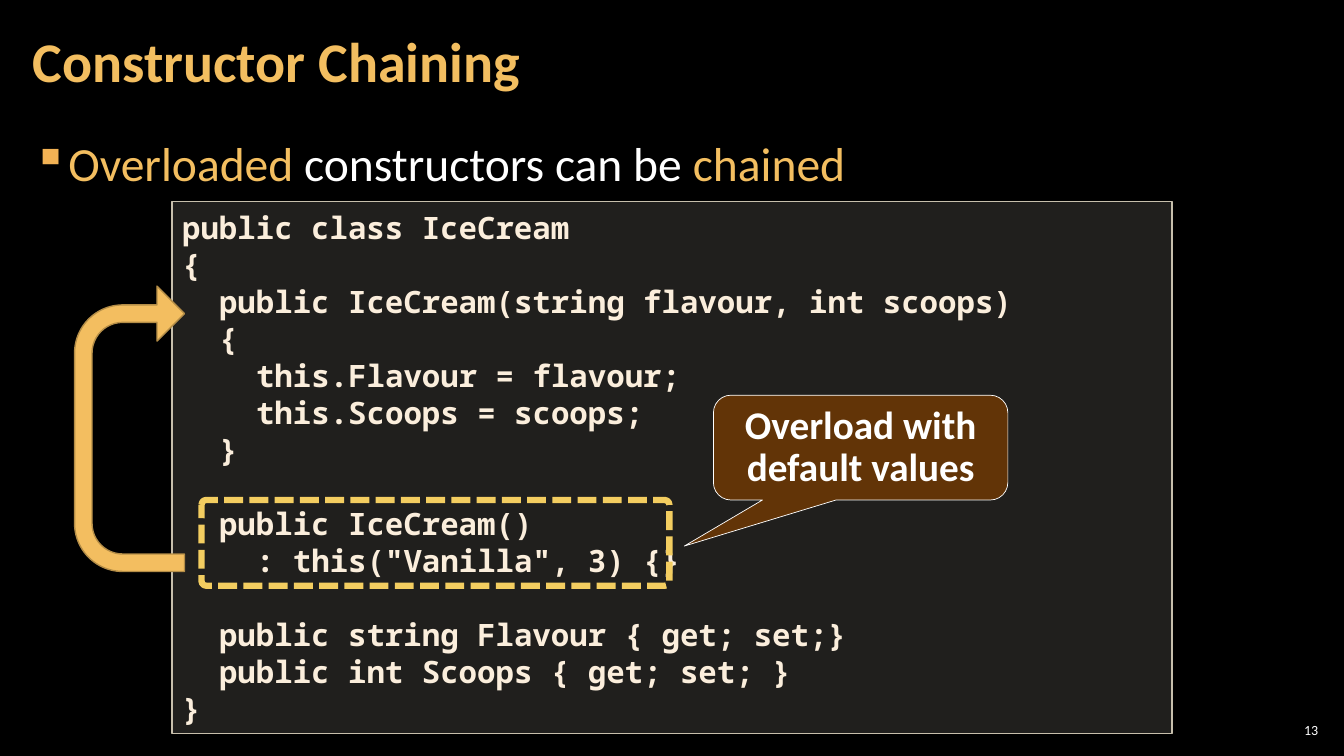
from lxml import etree
from pptx import Presentation
from pptx.dml.color import RGBColor
from pptx.enum import dml, shapes, text
from pptx.oxml import ns
from pptx.util import Cm, Pt

BLACK = RGBColor(0x00, 0x00, 0x00)
WHITE = RGBColor(0xFF, 0xFF, 0xFF)
GOLD = RGBColor(0xF3, 0xBE, 0x60)
BULLET_GOLD = RGBColor(0xF2, 0xB2, 0x54)
DASH_GOLD = RGBColor(0xF3, 0xCD, 0x60)
ARROW_EDGE = RGBColor(0xB4, 0x8D, 0x47)
PANEL = RGBColor(0xD9, 0xD5, 0xC7)
PANEL_EDGE = RGBColor(0xC7, 0xBF, 0xAC)
CODE_CREAM = RGBColor(0xFB, 0xEE, 0xDC)
BROWN = RGBColor(0x66, 0x36, 0x06)

BODY_FONT = "Calibri"
CODE_FONT = "Noto Sans Mono"
CODE_SIZE = 22
CODE_LINE = Pt(26.4)
CODE_INDENT = Pt(1.2 * CODE_SIZE)  # two characters of the monospaced font

# (indent level, blank lines above, code)
CODE = [
    (0, 0, "public class IceCream"),
    (0, 0, "{"),
    (1, 0, "public IceCream(string flavour, int scoops)"),
    (1, 0, "{"),
    (2, 0, "this.Flavour = flavour;"),
    (2, 0, "this.Scoops = scoops;"),
    (1, 0, "}"),
    (1, 1, "public IceCream()"),
    (2, 0, ': this("Vanilla", 3) {}'),
    (1, 1, "public string Flavour { get; set;}"),
    (1, 0, "public int Scoops { get; set; }"),
    (0, 0, "}"),
]


def style(run, size, color, bold=False, font=BODY_FONT):
    run.font.name = font
    run.font.size = Pt(size)
    run.font.bold = bold
    run.font.color.rgb = color


def set_alpha(shape, percent):
    color = shape.fill._xPr.find(ns.qn("a:solidFill"))[0]
    etree.SubElement(color, ns.qn("a:alpha"), val=str(percent * 1000))


def add_figure(slide, kind, box, edge, width, fill=None, adjust=()):
    figure = slide.shapes.add_shape(kind, *map(Cm, box))
    figure.shadow.inherit = False
    if fill is None:
        figure.fill.background()
    else:
        figure.fill.solid()
        figure.fill.fore_color.rgb = fill
    figure.line.color.rgb = edge
    figure.line.width = Pt(width)
    for i, value in enumerate(adjust):
        figure.adjustments[i] = value
    return figure


def add_label(slide, box, side_margin, anchor):
    frame = slide.shapes.add_textbox(*map(Cm, box)).text_frame
    frame.word_wrap = True
    frame.vertical_anchor = anchor
    frame.margin_left = frame.margin_right = Cm(side_margin)
    frame.margin_top = frame.margin_bottom = Cm(0.1)
    return frame.paragraphs[0]


def add_title(slide, box):
    title = add_label(slide, box, 0.3, text.MSO_ANCHOR.MIDDLE)
    title.text = "Constructor Chaining"
    title.line_spacing = 0.9
    style(title.runs[0], 40, GOLD, bold=True)


def add_statement(slide, box):
    statement = add_label(slide, box, 0.3, text.MSO_ANCHOR.TOP)
    statement.line_spacing = 1.05
    statement.space_before = statement.space_after = Pt(6)
    for words, color in [("Overloaded", GOLD),
                         (" constructors can be ", WHITE),
                         ("chained", GOLD)]:
        run = statement.add_run()
        run.text = words
        style(run, 34, color)
    props = statement._p.get_or_add_pPr()
    props.set("marL", str(Cm(0.84)))
    props.set("indent", str(-Cm(0.84)))
    bullet_color = etree.SubElement(props, ns.qn("a:buClr"))
    etree.SubElement(bullet_color, ns.qn("a:srgbClr"), val=str(BULLET_GOLD))
    etree.SubElement(props, ns.qn("a:buChar"), char="▪")


def add_page_number(slide, box):
    number = add_label(slide, box, 0.1, text.MSO_ANCHOR.MIDDLE)
    number.text = "13"
    number.alignment = text.PP_ALIGN.RIGHT
    style(number.runs[0], 10, WHITE)


def add_code_panel(slide, box):
    """Place the listing, and mark the chained constructor within it."""
    left, top, _, _ = box
    panel = add_figure(slide, shapes.MSO_SHAPE.RECTANGLE, box,
                       PANEL_EDGE, 1, PANEL)
    set_alpha(panel, 15)
    frame = panel.text_frame
    frame.word_wrap = True
    frame.text = "\n".join(code for _, _, code in CODE)
    for line, (level, blanks, _) in zip(frame.paragraphs, CODE):
        line.alignment = text.PP_ALIGN.LEFT
        line.line_spacing = CODE_LINE
        line.space_before = blanks * CODE_LINE
        line._p.get_or_add_pPr().set("marL", str(level * CODE_INDENT))
        style(line.runs[0], CODE_SIZE, CODE_CREAM, True, CODE_FONT)

    callout = add_figure(slide, shapes.MSO_SHAPE.ROUNDED_RECTANGULAR_CALLOUT,
                         (left + 13.64, top + 4.88, 7.42, 2.64),
                         WHITE, 0.5, BROWN, (-0.599, 0.94, 0.167))
    set_alpha(callout, 95)
    callout.text_frame.word_wrap = True
    callout.text_frame.text = "Overload with default values"
    remark = callout.text_frame.paragraphs[0]
    remark.alignment = text.PP_ALIGN.CENTER
    remark.line_spacing = Pt(30)
    style(remark.runs[0], 28, WHITE, bold=True)

    highlight = add_figure(slide, shapes.MSO_SHAPE.ROUNDED_RECTANGLE,
                           (left + 0.74, top + 7.52, 11.79, 2.16),
                           DASH_GOLD, 4.5, adjust=(0.054,))
    highlight.line.dash_style = dml.MSO_LINE.SQUARE_DOT

    chain = add_figure(slide, shapes.MSO_SHAPE.U_TURN_ARROW,
                       (left - 4.67, top + 4.34, 7.19, 2.77),
                       ARROW_EDGE, 1, GOLD, (0.159, 0.25, 0.25, 0.438, 1))
    chain.rotation = 270


def main():
    deck = Presentation()
    deck.slide_width, deck.slide_height = Cm(33.87), Cm(19.05)
    slide = deck.slides.add_slide(deck.slide_layouts[6])
    slide.background.fill.solid()
    slide.background.fill.fore_color.rgb = BLACK
    add_page_number(slide, (32.13, 18.14, 1.19, 0.53))
    add_statement(slide, (0.53, 3.2, 32.79, 15.47))
    add_title(slide, (0.53, 0.1, 26.59, 3.07))
    add_code_panel(slide, (4.34, 5.08, 25.2, 13.41))
    deck.save("out.pptx")


if __name__ == "__main__":
    main()
